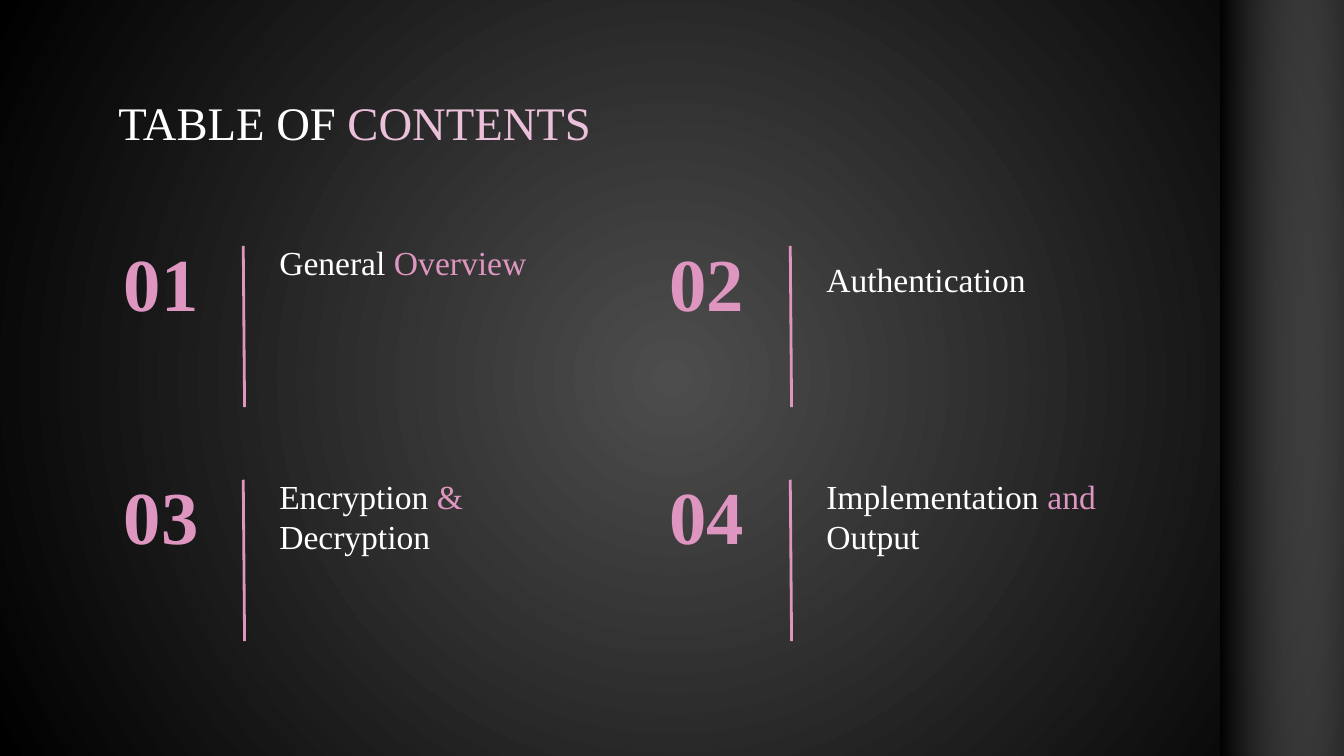
from lxml.etree import SubElement
from pptx import Presentation
from pptx.dml.color import RGBColor
from pptx.enum.shapes import MSO_CONNECTOR, MSO_SHAPE
from pptx.enum.text import MSO_ANCHOR, MSO_AUTO_SIZE, PP_ALIGN
from pptx.oxml import parse_xml
from pptx.oxml.ns import nsdecls, qn
from pptx.util import Inches, Pt

# Content: spans are (text, colour)
WHITE, PINK, PALE_PINK = "FFFFFF", "DE96C1", "EBC0DA"
FONT = "Times New Roman"
TITLE = [("TABLE OF ", WHITE), ("CONTENTS", PALE_PINK)]
# Each topic: spans and how far its text sits below the row's usual height
TOPICS = [
    ([("General ", WHITE), ("Overview", PINK)], 0),
    ([("Authentication", WHITE)], 0.13),
    ([("Encryption ", WHITE), ("&", PINK), (" Decryption", WHITE)], 0),
    ([("Implementation ", WHITE), ("and", PINK), (" Output", WHITE)], 0),
]

# Grid of topics
COLUMNS = 2
NUMBER_LEFT, NUMBER_STEP = 0.71, 4.06
DIVIDER_LEFT, TOPIC_LEFT, COLUMN_STEP = 1.81, 1.98, 4.07
GRID_TOP, ROW_STEP = 1.66, 1.74


def color(value):
    return RGBColor.from_string(value)


def gradient(stops, direction):
    """Gradient fill from (position, colour, opacity) stops, in percent."""
    marks = "".join(
        f'<a:gs pos="{position * 1000}"><a:srgbClr val="{value}">'
        f'<a:alpha val="{opacity * 1000}"/></a:srgbClr></a:gs>'
        for position, value, opacity in stops)
    return (f'<a:gradFill {nsdecls("a")} rotWithShape="1">'
            f'<a:gsLst>{marks}</a:gsLst>{direction}</a:gradFill>')


def write(box, spans, size, anchor=MSO_ANCHOR.TOP, align=PP_ALIGN.LEFT, bold=False):
    frame = box.text_frame
    frame.word_wrap = True
    frame.auto_size = MSO_AUTO_SIZE.NONE
    frame.vertical_anchor = anchor
    frame.margin_left = frame.margin_right = Inches(0.1)
    frame.margin_top = frame.margin_bottom = Inches(0.1)
    para = frame.paragraphs[0]
    para.alignment = align
    para.line_spacing = 1.0
    para.space_before = Pt(0)
    para.font.name = FONT
    para.font.size = Pt(size)
    para.font.bold = bold
    for text, value in spans:
        span = para.add_run()
        span.text = text
        span.font.color.rgb = color(value)


def add_text(page, left, top, width, height, *args, **options):
    box = page.shapes.add_textbox(
        Inches(left), Inches(top), Inches(width), Inches(height))
    write(box, *args, **options)


def add_divider(page, left, top):
    line = page.shapes.add_connector(
        MSO_CONNECTOR.STRAIGHT, Inches(left), Inches(top),
        Inches(left + 0.01), Inches(top + 1.2))
    line.line.color.rgb = color(PINK)
    line.line.width = Pt(1.5)
    SubElement(line.element.spPr, qn("a:effectLst"))


# Widescreen page, 16 to 9
deck = Presentation()
deck.slide_width, deck.slide_height = Inches(10), Inches(10 * 9 / 16)
page = deck.slides.add_slide(deck.slide_layouts[5])

# Background glow
glow = gradient(
    [(0, "4D4D4D", 100), (100, "000000", 100)],
    '<a:path path="circle"><a:fillToRect l="50000" t="50000" r="50000" b="50000"/>'
    '</a:path>')
page.element.find(qn("p:cSld")).insert(0, parse_xml(
    f'<p:bg {nsdecls("p")}><p:bgPr>{glow}<a:effectLst {nsdecls("a")}/>'
    '</p:bgPr></p:bg>'))

# Shaded panel on the right
panel = page.shapes.add_shape(
    MSO_SHAPE.RECTANGLE, Inches(9.08), Inches(-0.05), Inches(1.27), Inches(5.73))
panel.shadow.inherit = False
panel.line.fill.background()
panel.fill.background()
panel_properties = panel.element.spPr
panel_properties.replace(
    panel_properties.find(qn("a:noFill")),
    parse_xml(gradient([(0, "000000", 85), (100, "FFFFFF", 0)],
                       '<a:lin ang="0" scaled="0"/>')))

# Title
title = page.shapes.title
title.left, title.top = Inches(0.78), Inches(0.59)
title.width, title.height = Inches(8.45), Inches(0.63)
write(title, TITLE, 25, MSO_ANCHOR.MIDDLE)

# Numbered topics with dividers
for index, (spans, drop) in enumerate(TOPICS):
    row, column = divmod(index, COLUMNS)
    shift = column * COLUMN_STEP
    top = GRID_TOP + row * ROW_STEP
    add_text(page, TOPIC_LEFT + shift, top + 0.04 + drop, 2.26, 0.86, spans, 18)
    add_text(page, NUMBER_LEFT + column * NUMBER_STEP, top, 0.98, 1.06,
             [(f"{index + 1:02}", PINK)], 40, align=PP_ALIGN.CENTER, bold=True)
    add_divider(page, DIVIDER_LEFT + shift, top + 0.17)

deck.save("out.pptx")
